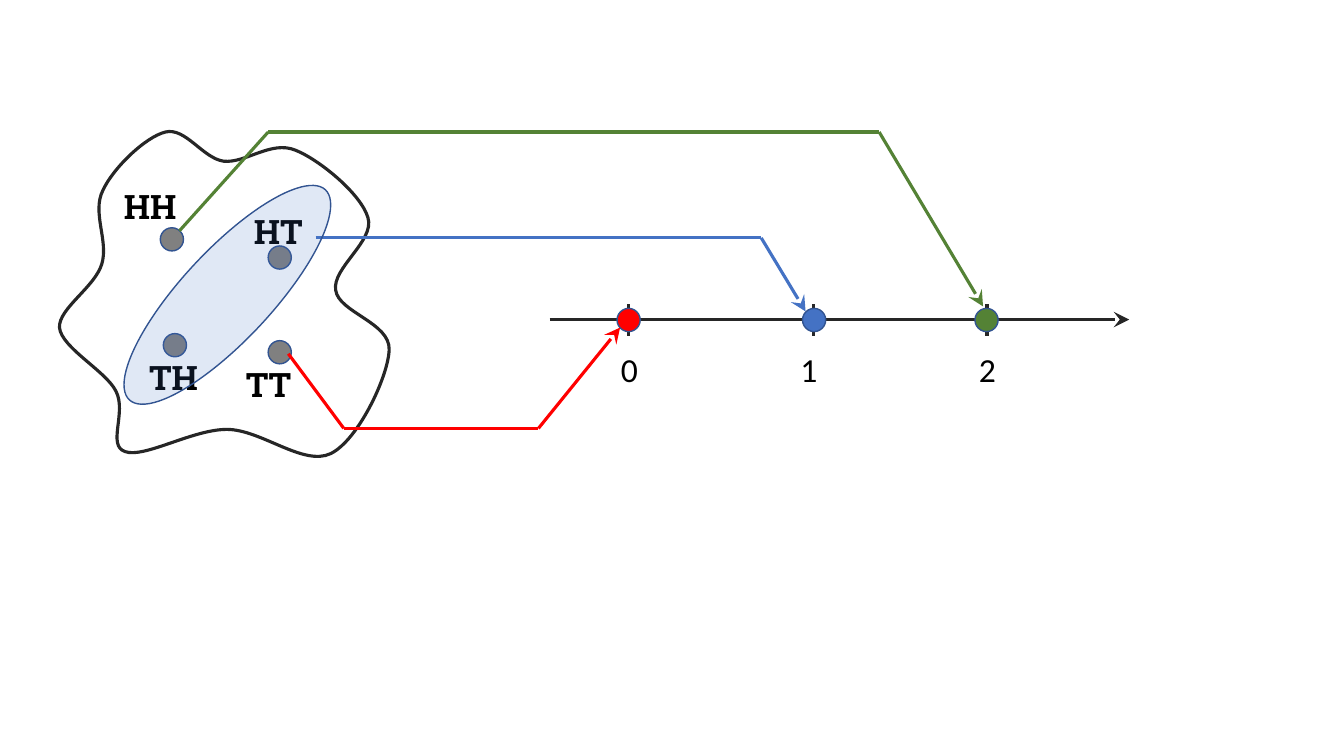
from lxml import etree
from pptx import Presentation
from pptx.dml.color import RGBColor
from pptx.enum.shapes import MSO_CONNECTOR, MSO_SHAPE
from pptx.enum.text import MSO_AUTO_SIZE
from pptx.oxml.ns import qn
from pptx.util import Inches, Pt

OVAL = MSO_SHAPE.OVAL
STRAIGHT = MSO_CONNECTOR.STRAIGHT
GROW = MSO_AUTO_SIZE.SHAPE_TO_FIT_TEXT
COLORS = {
    "ink": "262626", "text": "000000", "paper": "FFFFFF", "outcome": "808080",
    "edge": "325491", "red": "FF0000", "blue": "4472C4", "green": "548235",
}
DOT = 0.23
AXIS_Y = 3.17

# Sample space outline: start point, then cubic segments (control, control, end)
BLOB_START = (1.02, 1.89)
BLOB_CURVES = [
    ((1.12, 1.67), (1.44, 1.36), (1.64, 1.31)),
    ((1.84, 1.26), (2.01, 1.57), (2.22, 1.60)),
    ((2.44, 1.62), (2.69, 1.39), (2.93, 1.49)),
    ((3.16, 1.58), (3.58, 1.92), (3.65, 2.16)),
    ((3.72, 2.39), (3.29, 2.66), (3.33, 2.88)),
    ((3.36, 3.10), (3.87, 3.20), (3.86, 3.47)),
    ((3.85, 3.74), (3.55, 4.37), (3.28, 4.50)),
    ((3.01, 4.63), (2.59, 4.26), (2.25, 4.26)),
    ((1.91, 4.26), (1.43, 4.55), (1.24, 4.48)),
    ((1.06, 4.42), (1.26, 4.09), (1.15, 3.88)),
    ((1.05, 3.68), (0.61, 3.45), (0.59, 3.25)),
    ((0.58, 3.06), (0.94, 2.85), (1.01, 2.62)),
    ((1.08, 2.39), (0.91, 2.11), BLOB_START),
]


def rgb(name):
    return RGBColor.from_string(COLORS[name])


class Diagram:
    def __init__(self, slide):
        self.shapes = slide.shapes
        self.line_width = Pt(2.25)
        self.edge_width = Pt(1)
        self.size = Pt(24)

    def style(self, sp, fill, line, width):
        sp.shadow.inherit = False
        sp.fill.solid()
        sp.fill.fore_color.rgb = rgb(fill)
        sp.line.color.rgb = rgb(line)
        sp.line.width = width

    def outline(self, start, curves):
        builder = self.shapes.build_freeform(Inches(start[0]), Inches(start[1]))
        ends = [(Inches(x), Inches(y)) for _, _, (x, y) in curves]
        builder.add_line_segments(ends, close=True)
        sp = builder.convert_to_shape()
        self.style(sp, "paper", "ink", self.line_width)
        # Bend each straight segment into its cubic curve
        for segment, curve in zip(list(sp._element.iter(qn("a:lnTo"))), curves):
            segment.tag = qn("a:cubicBezTo")
            segment.remove(segment[0])
            for x, y in curve:
                etree.SubElement(segment, qn("a:pt"), x=str(Inches(x) - sp.left),
                                 y=str(Inches(y) - sp.top))

    def ellipse(self, x, y, w, h, fill, rotation=0, alpha=None):
        sp = self.shapes.add_shape(OVAL, Inches(x), Inches(y), Inches(w), Inches(h))
        sp.rotation = rotation
        self.style(sp, fill, "edge", self.edge_width)
        if alpha is not None:
            color = sp._element.spPr.find(qn("a:solidFill"))[0]
            etree.SubElement(color, qn("a:alpha"), val=str(alpha * 1000))

    def line(self, start, end, color, arrow=False):
        sp = self.shapes.add_connector(STRAIGHT, *map(Inches, start + end))
        sp.line.color.rgb = rgb(color)
        sp.line.width = self.line_width
        if arrow:
            ln = sp._element.spPr.find(qn("a:ln"))
            etree.SubElement(ln, qn("a:tailEnd"), type="stealth", w="lg", len="lg")
        etree.SubElement(sp._element.spPr, qn("a:effectLst"))

    def route(self, points, color):
        last = len(points) - 2
        for i, (start, end) in enumerate(zip(points, points[1:])):
            self.line(start, end, color, arrow=i == last)

    def label(self, text, x, y, w, font, bold=False, wrap=True):
        sp = self.shapes.add_textbox(Inches(x), Inches(y), Inches(w), Inches(0.5))
        tf = sp.text_frame
        tf.word_wrap = wrap
        tf.auto_size = GROW
        p = tf.paragraphs[0]
        p.text = text
        p.font.name = font
        p.font.size = self.size
        p.font.bold = bold
        p.font.color.rgb = rgb("text")


def main():
    prs = Presentation()
    prs.slide_width, prs.slide_height = Inches(13.33), Inches(7.5)
    d = Diagram(prs.slides.add_slide(prs.slide_layouts[6]))

    # Sample space with its four outcomes
    d.outline(BLOB_START, BLOB_CURVES)
    outcomes = [  # name, label x, y, width, dot x, y
        ("HH", 1.13, 1.80, 0.75, 1.59, 2.26),
        ("HT", 2.42, 2.04, 0.71, 2.66, 2.44),
        ("TH", 1.38, 3.49, 0.71, 1.62, 3.31),
        ("TT", 2.34, 3.56, 0.67, 2.66, 3.38),
    ]
    for name, x, y, w, dot_x, dot_y in outcomes:
        d.ellipse(dot_x, dot_y, DOT, DOT, "outcome")
        d.label(name, x, y, w, "Roboto Slab", bold=True, wrap=False)

    # Number line with its values
    d.line((5.45, AXIS_Y), (11.2, AXIS_Y), "ink", arrow=True)
    values = [  # value, tick x, dot x, label x, colour
        ("0", 6.23, 6.12, 6.06, "red"),
        ("1", 8.07, 7.96, 7.84, "blue"),
        ("2", 9.79, 9.67, 9.61, "green"),
    ]
    for value, x, dot_x, label_x, color in values:
        d.line((x, 3.33), (x, 3.02), "ink")
        d.ellipse(dot_x, 3.06, DOT, DOT, color)
        d.label(value, label_x, 3.41, 0.6, "Calibri")

    # Mapping from outcomes to values, with the one-head event tinted
    d.route([(3.13, 2.36), (7.55, 2.36), (7.99, 3.09)], "blue")
    d.route([(2.86, 3.51), (3.41, 4.25), (5.34, 4.25), (6.15, 3.25)], "red")
    d.ellipse(0.83, 2.48, 2.85, 0.89, "blue", rotation=313, alpha=16)
    d.route([(1.78, 2.29), (2.66, 1.31), (8.72, 1.31), (9.75, 3.04)], "green")

    prs.save("out.pptx")


if __name__ == "__main__":
    main()
